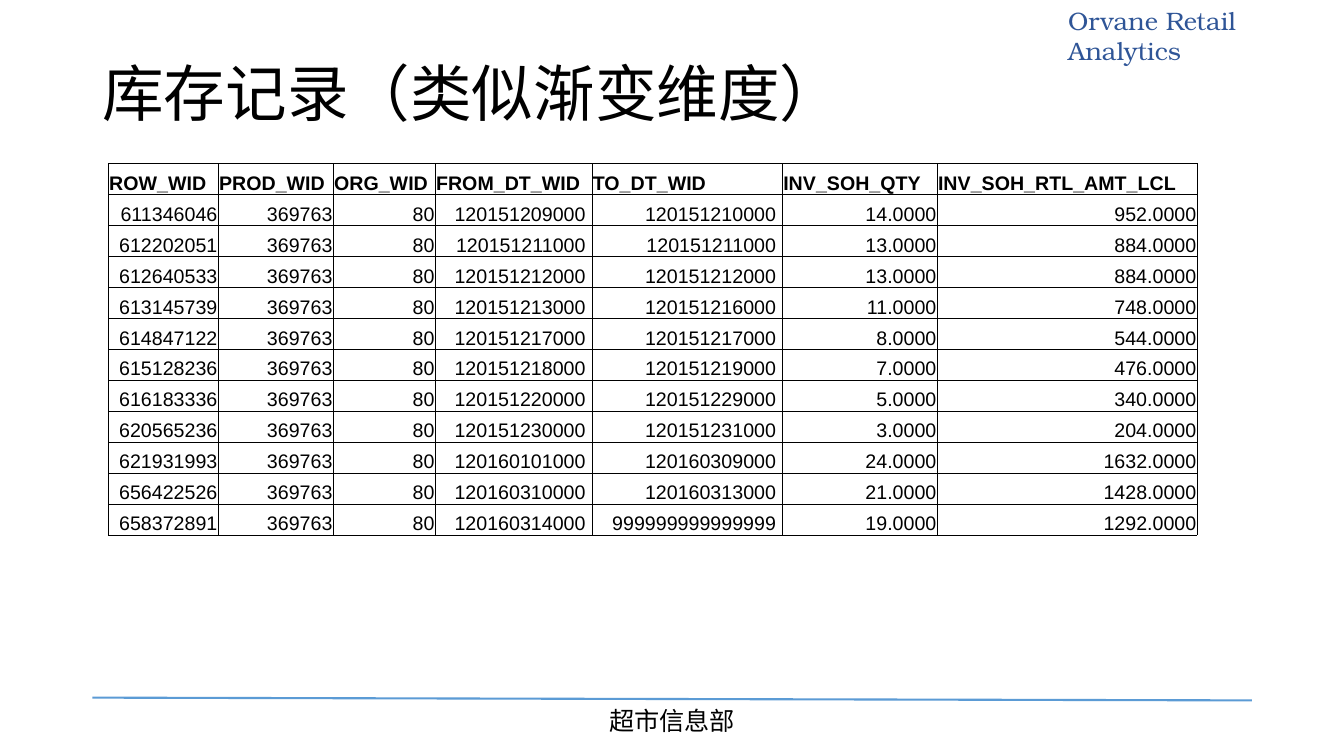
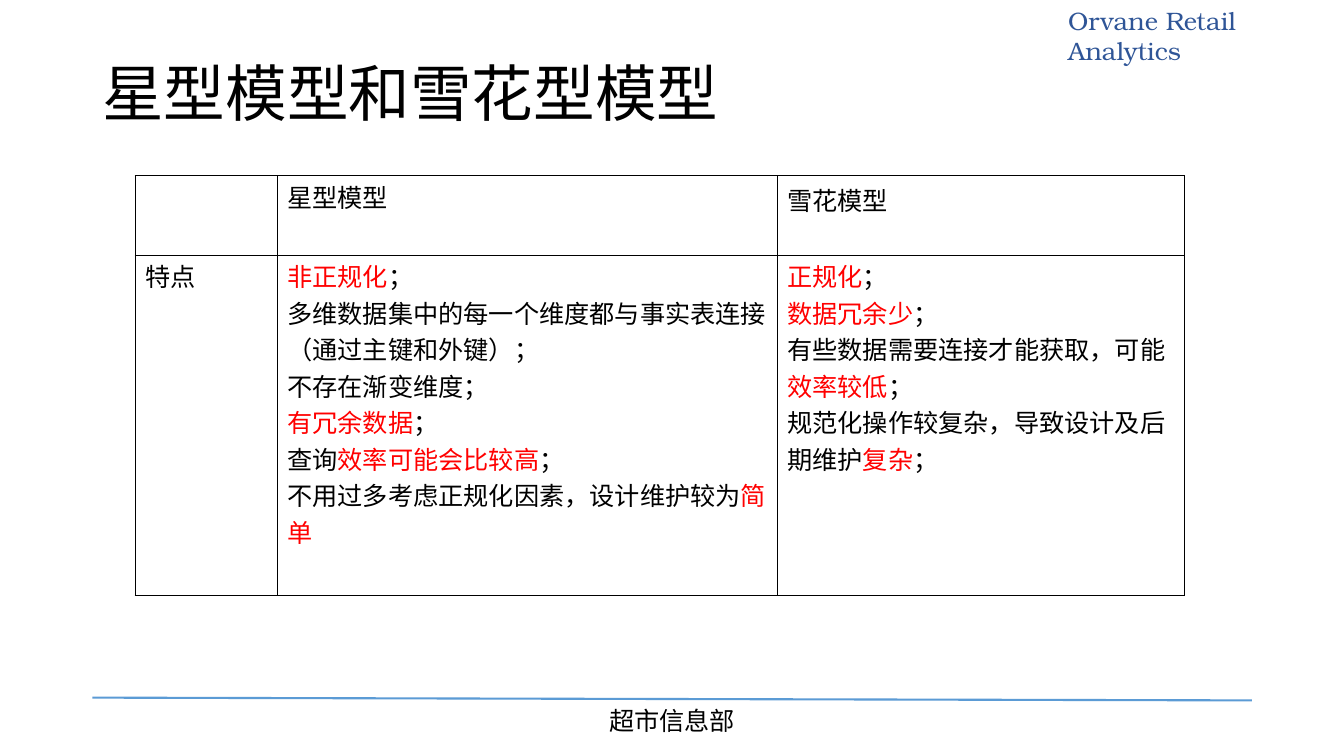
"""Build two slides on inventory records and on star and snowflake models."""
from lxml import etree
from pptx import Presentation
from pptx.dml.color import RGBColor
from pptx.enum.shapes import MSO_CONNECTOR
from pptx.enum.text import MSO_ANCHOR, PP_ALIGN
from pptx.oxml.ns import qn
from pptx.util import Cm, Pt

LEFT, CENTER, RIGHT = PP_ALIGN.LEFT, PP_ALIGN.CENTER, PP_ALIGN.RIGHT
TOP, MIDDLE, BOTTOM = MSO_ANCHOR.TOP, MSO_ANCHOR.MIDDLE, MSO_ANCHOR.BOTTOM
STRAIGHT = MSO_CONNECTOR.STRAIGHT

COLORS = {"text": "000000", "accent": "FF0000", "brand": "2F5597", "rule": "5B9BD5"}
CJK, BODY, DATA, BRAND = "Noto Sans CJK SC", "Calibri", "Arial", "TeX Gyre Bonum"

HEADER = "Orvane Retail Analytics"
FOOTER = "超市信息部"

STOCK_TITLE = "库存记录（类似渐变维度）"
STOCK_COLUMNS = [
    ("ROW_WID", 2.77), ("PROD_WID", 2.9), ("ORG_WID", 2.57), ("FROM_DT_WID", 3.95),
    ("TO_DT_WID", 4.8), ("INV_SOH_QTY", 3.9), ("INV_SOH_RTL_AMT_LCL", 6.55),
]
PRODUCT, STORE = "369763", "80"
STOCK = [
    ("611346046", "120151209000", "120151210000", 14, 952),
    ("612202051", "120151211000", "120151211000", 13, 884),
    ("612640533", "120151212000", "120151212000", 13, 884),
    ("613145739", "120151213000", "120151216000", 11, 748),
    ("614847122", "120151217000", "120151217000", 8, 544),
    ("615128236", "120151218000", "120151219000", 7, 476),
    ("616183336", "120151220000", "120151229000", 5, 340),
    ("620565236", "120151230000", "120151231000", 3, 204),
    ("621931993", "120160101000", "120160309000", 24, 1632),
    ("656422526", "120160310000", "120160313000", 21, 1428),
    ("658372891", "120160314000", "999999999999999", 19, 1292),
]

MODEL_TITLE = "星型模型和雪花型模型"
MODEL_WIDTHS = [3.58, 12.6, 10.26]
MODEL_HEIGHTS = [2.01, 8.56]
MODELS = [
    [[""], ["星型模型"], ["雪花模型"]],
    [
        ["特点"],
        [
            "*非正规化*；",
            "多维数据集中的每一个维度都与事实表连接（通过主键和外键）；",
            "不存在渐变维度；",
            "*有冗余数据*；",
            "查询*效率可能会比较高*；",
            "不用过多考虑正规化因素，设计维护较为*简单*",
        ],
        [
            "*正规化*；",
            "*数据冗余少*；",
            "有些数据需要连接才能获取，可能*效率较低*；",
            "规范化操作较复杂，导致设计及后期维护*复杂*；",
        ],
    ],
]


def write(tf, lines, size, font, color="text", align=LEFT, bold=False, spacing=None):
    """Fill a text frame; parts between asterisks take the accent colour."""
    for i, line in enumerate(lines):
        p = tf.paragraphs[0] if i == 0 else tf.add_paragraph()
        p.alignment = align
        p.line_spacing = spacing
        for j, part in enumerate(line.split("*")):
            if not part:
                continue
            r = p.add_run()
            r.text = part
            r.font.size, r.font.name, r.font.bold = Pt(size), font, bold
            r.font.color.rgb = RGBColor.from_string(COLORS["accent" if j % 2 else color])
            ea = etree.SubElement(r.font._element, qn("a:ea"))
            ea.set("typeface", CJK)


def add_text(s, text, box, size, font, anchor=TOP, **style):
    """Add a wrapped text box at a place given in centimetres."""
    tf = s.shapes.add_textbox(*map(Cm, box)).text_frame
    tf.word_wrap = True
    tf.vertical_anchor = anchor
    write(tf, [text], size, font, **style)


def add_slide(prs, title):
    """Add a slide with the shared rule, footer, header and title."""
    s = prs.slides.add_slide(prs.slide_layouts[6])
    rule = s.shapes.add_connector(STRAIGHT, Cm(2.33), Cm(17.58), Cm(31.55), Cm(17.65))
    rule.line.color.rgb = RGBColor.from_string(COLORS["rule"])
    rule.line.width = Pt(1.5)
    etree.SubElement(rule._element.spPr, qn("a:effectLst"))
    add_text(s, FOOTER, (14.22, 17.65, 5.44, 1.03), 18, CJK, align=CENTER)
    add_text(s, HEADER, (26.67, 0, 7.19, 1.03), 18, BRAND, color="brand")
    add_text(s, title, (2.33, 1.3, 29.21, 2.26), 44, BODY, MIDDLE, spacing=0.9)
    return s


def set_borders(cell, width):
    """Draw all four edges of a cell."""
    tcPr = cell._tc.get_or_add_tcPr()
    for i, side in enumerate(("lnL", "lnR", "lnT", "lnB")):
        ln = etree.Element(qn(f"a:{side}"), w=str(Pt(width)))
        fill = etree.SubElement(ln, qn("a:solidFill"))
        etree.SubElement(fill, qn("a:srgbClr"), val=COLORS["text"])
        tcPr.insert(i, ln)


def add_grid(s, left, top, widths, heights, border):
    """Add a plain bordered table and return it."""
    frame = s.shapes.add_table(len(heights), len(widths), Cm(left), Cm(top),
                               Cm(sum(widths)), Cm(sum(heights)))
    table = frame.table
    table.first_row = table.horz_banding = False
    for column, width in zip(table.columns, widths):
        column.width = Cm(width)
    for row, height in zip(table.rows, heights):
        row.height = Cm(height)
    for cell in table.iter_cells():
        cell.fill.background()
        set_borders(cell, border)
    return table


def set_margins(cell, left, top, right, bottom):
    """Set the cell insets in centimetres."""
    cell.margin_left, cell.margin_top = Cm(left), Cm(top)
    cell.margin_right, cell.margin_bottom = Cm(right), Cm(bottom)


def build_stock(prs):
    """Build the inventory record slide."""
    s = add_slide(prs, STOCK_TITLE)
    names, widths = zip(*STOCK_COLUMNS)
    rows = [names] + [
        (row_id, PRODUCT, STORE, start, end, f"{qty:.4f}", f"{amount:.4f}")
        for row_id, start, end, qty, amount in STOCK
    ]
    table = add_grid(s, 2.73, 4.12, widths, [0.78] * len(rows), 0.5)
    for i, row in enumerate(rows):
        for j, value in enumerate(row):
            cell = table.cell(i, j)
            is_date = i > 0 and names[j].endswith("DT_WID")
            set_margins(cell, 0.02, 0.02, 0.16 if is_date else 0.02, 0)
            cell.vertical_anchor = BOTTOM
            write(cell.text_frame, [value], 14, DATA,
                  align=RIGHT if i else LEFT, bold=i == 0)


def build_models(prs):
    """Build the model comparison slide."""
    s = add_slide(prs, MODEL_TITLE)
    table = add_grid(s, 3.41, 4.43, MODEL_WIDTHS, MODEL_HEIGHTS, 1)
    for i, row in enumerate(MODELS):
        for j, lines in enumerate(row):
            cell = table.cell(i, j)
            inset = 0.13 if (i, j) == (0, 2) else 0.05
            set_margins(cell, 0.25, inset, 0.25, inset)
            write(cell.text_frame, lines, 18, BODY)


def main():
    """Build and save the presentation."""
    prs = Presentation()
    prs.slide_width, prs.slide_height = Cm(33.87), Cm(19.05)
    build_stock(prs)
    build_models(prs)
    prs.save("out.pptx")


if __name__ == "__main__":
    main()
